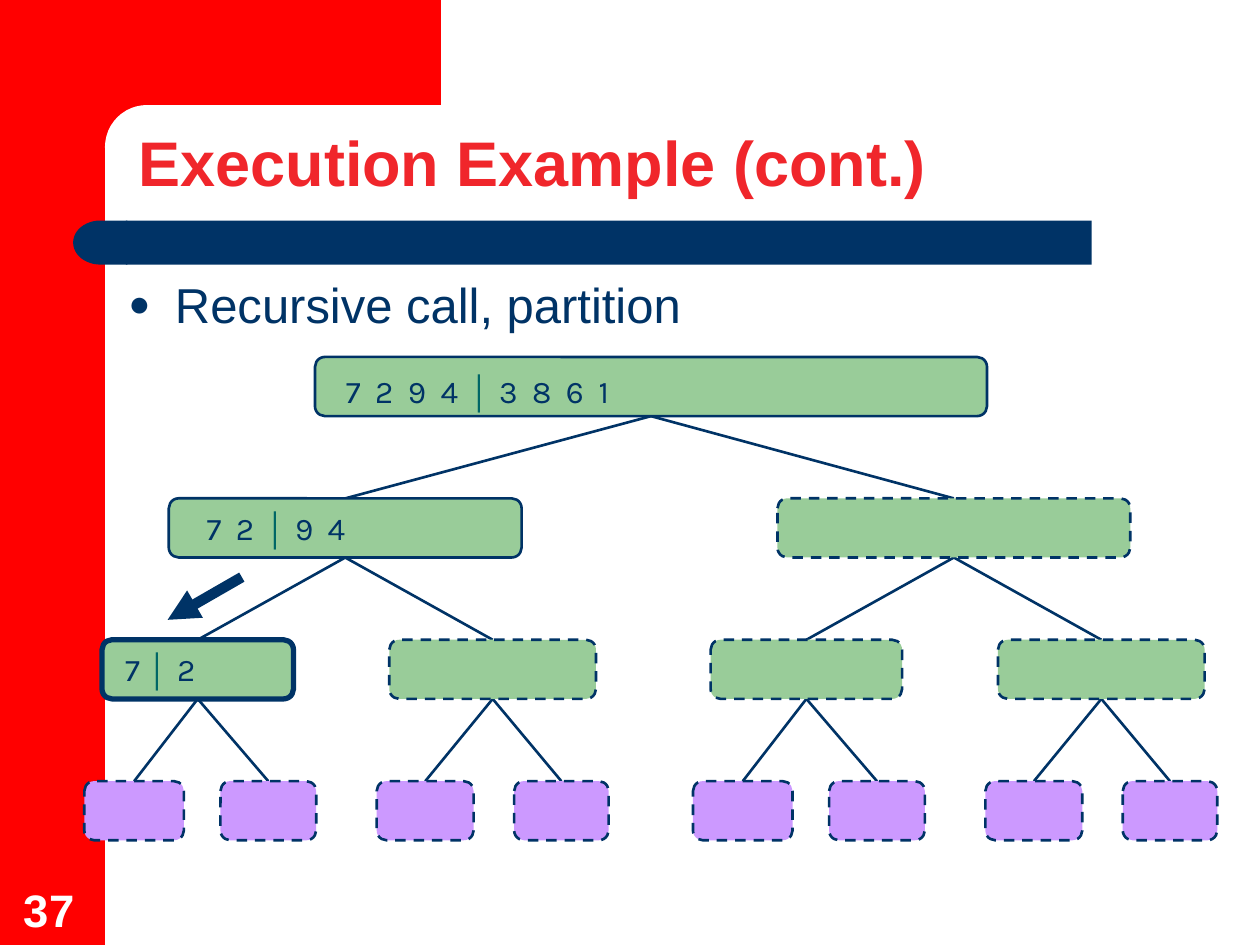
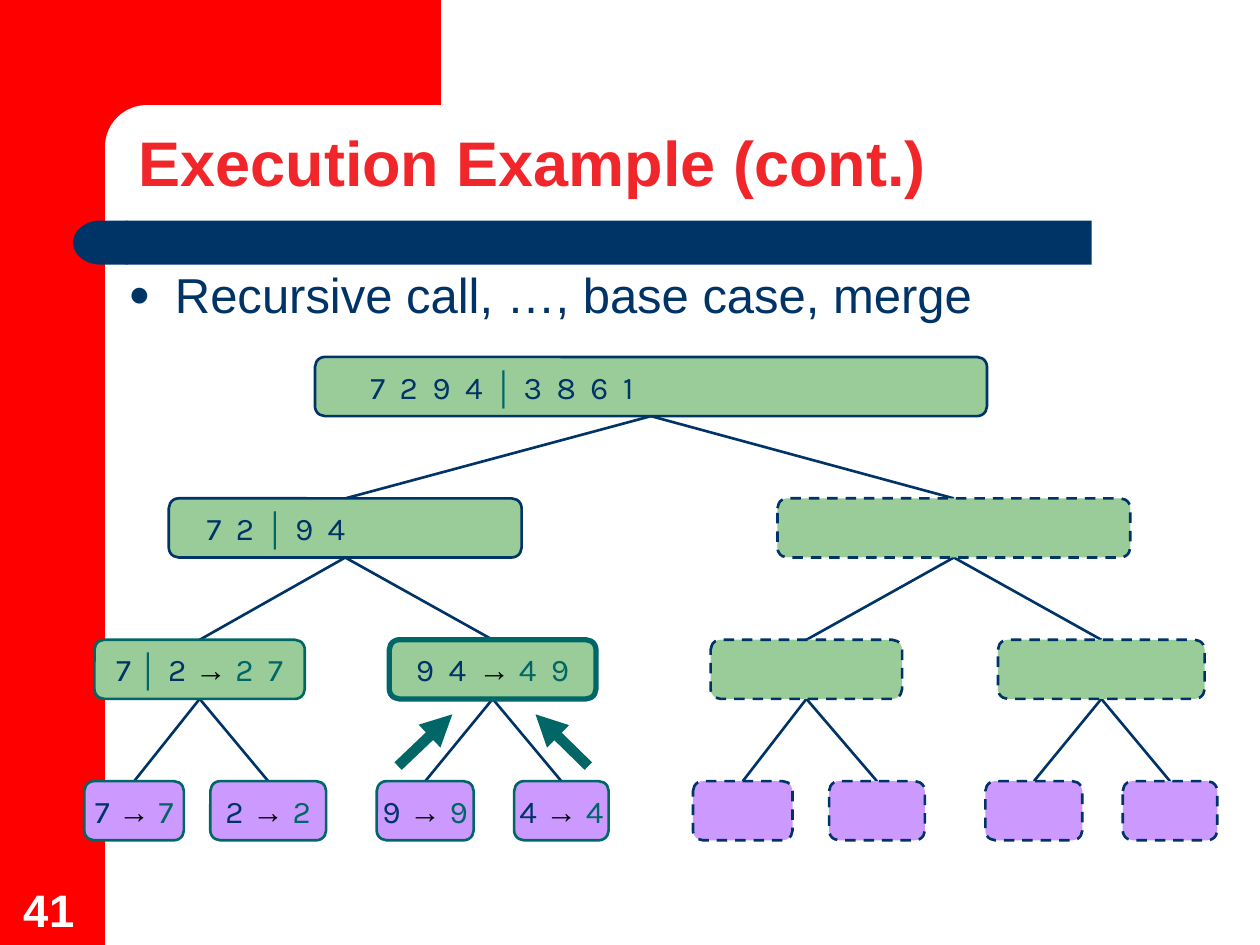
from lxml import etree
from pptx import Presentation, util as u
from pptx.dml.color import RGBColor
from pptx.enum import dml, shapes, text
from pptx.oxml.ns import qn

Pt = u.Pt
COLORS = {"red": "FF0000", "title": "F0262B", "navy": "003366", "teal": "006666",
          "green": "99CC99", "violet": "CC99FF", "white": "FFFFFF", "black": "000000"}
PRESET = shapes.MSO_SHAPE
STRAIGHT = shapes.MSO_CONNECTOR.STRAIGHT


def add_span(para, words, size, color, font="Arial", bold=False):
    span = para.add_run()
    span.text = words
    span.font.size, span.font.name, span.font.bold = Pt(size), font, bold
    span.font.color.rgb = RGBColor.from_string(COLORS[color])
    return span


def add_line(page, start, end, width, color):
    line = page.shapes.add_connector(STRAIGHT, *(Pt(value) for value in start + end))
    line.line.width = Pt(width)
    line.line.color.rgb = RGBColor.from_string(COLORS[color])
    etree.SubElement(line.element.spPr, qn("a:effectLst"))
    return line


# Tree geometry: the right half repeats the left half, levels are evenly spaced
HALF_SHIFT, TREE_TOP, LEVEL_STEP, NODE_HEIGHT = 347.8, 204, 80.8, 33.8
LEFT_HALF = [
    [(96.5, 201.6)],
    [(58.3, 109.4), (222.5, 118.1)],
    [(48.2, 56.9), (126, 54.7), (215.3, 55.4), (293.8, 54)],
]
NODES = [(180, 384, 0)]
for level, half in enumerate(LEFT_HALF, 1):
    for shift in (0, HALF_SHIFT):
        NODES += [(left + shift, width, level) for left, width in half]

# Text pieces used in the nodes
BAR, ARROW = (" │ ", "teal"), (" → ", "black")
ROOT_TEXT = [("7 2 9 4", "navy"), BAR, ("3 8 6 1", "navy")]
HALF_TEXT = [("7 2", "navy"), BAR, ("9 4", "navy")]

# Active nodes by position in the tree; all others are dashed and empty
PAGES = [
    {"number": "37", "body": "Recursive call, partition", "body_top": 149.8,
     "active": {
         0: {"text": ROOT_TEXT, "indent": 16, "drop": 4.6},
         1: {"text": HALF_TEXT, "indent": 20},
         3: {"text": [("7", "navy"), BAR, ("2", "navy")], "indent": 11.5, "line": 3},
     },
     "arrows": [((138.2, 329.8), (95.8, 354.2), "navy")]},
    {"number": "41", "body": "Recursive call, …, base case, merge", "body_top": 144,
     "active": {
         0: {"text": ROOT_TEXT, "indent": 30},
         1: {"text": HALF_TEXT, "indent": 20},
         3: {"text": [("7", "navy"), BAR, ("2", "navy"), ARROW, ("2 7", "teal")],
             "color": "teal", "place": (54, 120.2)},
         4: {"text": [("9 4", "navy"), ARROW, ("4 9", "teal")], "color": "teal", "line": 3},
         7: {"text": [("7", "navy"), ARROW, ("7", "teal")], "color": "teal"},
         8: {"text": [("2", "navy"), ARROW, ("2", "teal")], "color": "teal",
             "place": (120.2, 66.2)},
         9: {"text": [("9", "navy"), ARROW, ("9", "teal")], "color": "teal"},
         10: {"text": [("4", "navy"), ARROW, ("4", "teal")], "color": "teal"},
     },
     "arrows": [((227.5, 437.8), (258.5, 408.2), "teal"),
                ((336.2, 437.8), (306, 408.2), "teal")]},
]

deck = Presentation()
deck.slide_width, deck.slide_height = Pt(720), Pt(540)
layout = deck.slide_layouts[1]
pages = [deck.slides.add_slide(layout) for _ in PAGES]

# Shared bands, drawn once and moved to the layout
BANDS = [
    (PRESET.RECTANGLE, 0, 0, 60, 540, "red"),
    (PRESET.RECTANGLE, 54, 0, 198, 83.5, "red"),
    (PRESET.ROUNDED_RECTANGLE, 60, 60, 402, 48, "white"),
    (PRESET.RECTANGLE, 72, 126, 551.8, 25.2, "navy"),
    (PRESET.FLOWCHART_DELAY, 41.8, 126, 31, 25.2, "navy"),
]
for order, (preset, *place, color) in enumerate(BANDS):
    band = pages[0].shapes.add_shape(preset, *(Pt(value) for value in place))
    band.shadow.inherit = False
    band.fill.solid()
    band.fill.fore_color.rgb = RGBColor.from_string(COLORS[color])
    band.line.fill.background()
    if preset == PRESET.ROUNDED_RECTANGLE:
        band.adjustments[0] = 0.5
    if preset == PRESET.FLOWCHART_DELAY:
        band.rotation = 180
    layout.shapes.element.insert(2 + order, band.element)

for page, content in zip(pages, PAGES):
    # Title
    title = page.shapes.title
    title.left, title.top, title.width, title.height = Pt(72), Pt(72), Pt(630), Pt(46)
    title.text_frame.auto_size = text.MSO_AUTO_SIZE.NONE
    title.text_frame.vertical_anchor = text.MSO_ANCHOR.BOTTOM
    para = title.text_frame.paragraphs[0]
    para.alignment, para.line_spacing = text.PP_ALIGN.LEFT, 0.9
    add_span(para, "Execution Example (cont.)", 36, "title", bold=True)

    # Bulleted line
    body = page.placeholders[1]
    body.left, body.top = Pt(66.2), Pt(content["body_top"])
    body.width, body.height = Pt(612), Pt(41)
    body.text_frame.auto_size = text.MSO_AUTO_SIZE.NONE
    body.text_frame.margin_top = Pt(7)
    para = body.text_frame.paragraphs[0]
    para.space_before = Pt(0)
    properties = para._p.get_or_add_pPr()
    properties.set("marL", str(Pt(26.6)))
    properties.set("indent", str(-Pt(26.6)))
    bullet_color = etree.SubElement(properties, qn("a:buClr"))
    etree.SubElement(bullet_color, qn("a:srgbClr"), val=COLORS["navy"])
    etree.SubElement(properties, qn("a:buSzPct"), val="75000")
    etree.SubElement(properties, qn("a:buFont"), typeface="Arial")
    etree.SubElement(properties, qn("a:buChar"), char="●")
    add_span(para, content["body"], 28, "navy")

    # Page number
    number = page.shapes.add_textbox(Pt(6.5), Pt(499.7), Pt(46), Pt(38.9))
    number.text_frame.word_wrap = True
    number.text_frame.vertical_anchor = text.MSO_ANCHOR.BOTTOM
    add_span(number.text_frame.paragraphs[0], content["number"], 26, "white", bold=True)

    # Tree nodes
    boxes = []
    for index, (left, width, level) in enumerate(NODES):
        node = content["active"].get(index, {})
        left, width = node.get("place", (left, width))
        box = page.shapes.add_shape(
            PRESET.ROUNDED_RECTANGLE, Pt(left), Pt(TREE_TOP + LEVEL_STEP * level),
            Pt(width), Pt(NODE_HEIGHT))
        box.shadow.inherit = False
        box.fill.solid()
        box.fill.fore_color.rgb = RGBColor.from_string(
            COLORS["violet" if level == 3 else "green"])
        box.line.width = Pt(node.get("line", 1.5))
        box.line.color.rgb = RGBColor.from_string(COLORS[node.get("color", "navy")])
        boxes.append(box)
        if not node:
            box.line.dash_style = dml.MSO_LINE.DASH
            continue
        frame = box.text_frame
        frame.word_wrap = True
        frame.vertical_anchor = text.MSO_ANCHOR.MIDDLE
        frame.margin_left, frame.margin_right = Pt(node.get("indent", 0)), 0
        frame.margin_top, frame.margin_bottom = Pt(3.6 + node.get("drop", 0)), Pt(3.6)
        para = frame.paragraphs[0]
        para.alignment = text.PP_ALIGN.LEFT if "indent" in node else text.PP_ALIGN.CENTER
        for words, color in node["text"]:
            symbol = (words, color) in (BAR, ARROW)
            span = add_span(para, words, 18, color, "Arial" if symbol else "Karla", symbol)
            if not symbol and " " in words:
                span.font._element.set("spc", "200")

    # Edges from each parent to its child, placed behind the nodes
    for index in range(1, len(boxes)):
        edge = add_line(page, (0, 0), (0, 0), 1.5, "navy")
        edge.begin_connect(boxes[(index - 1) // 2], 2)
        edge.end_connect(boxes[index], 0)
        page.shapes.element.insert(2, edge.element)

    # Arrows showing the current step
    for start, end, color in content["arrows"]:
        arrow = add_line(page, start, end, 6, color)
        etree.SubElement(arrow.line._get_or_add_ln(), qn("a:tailEnd"), type="triangle")

deck.save("out.pptx")
